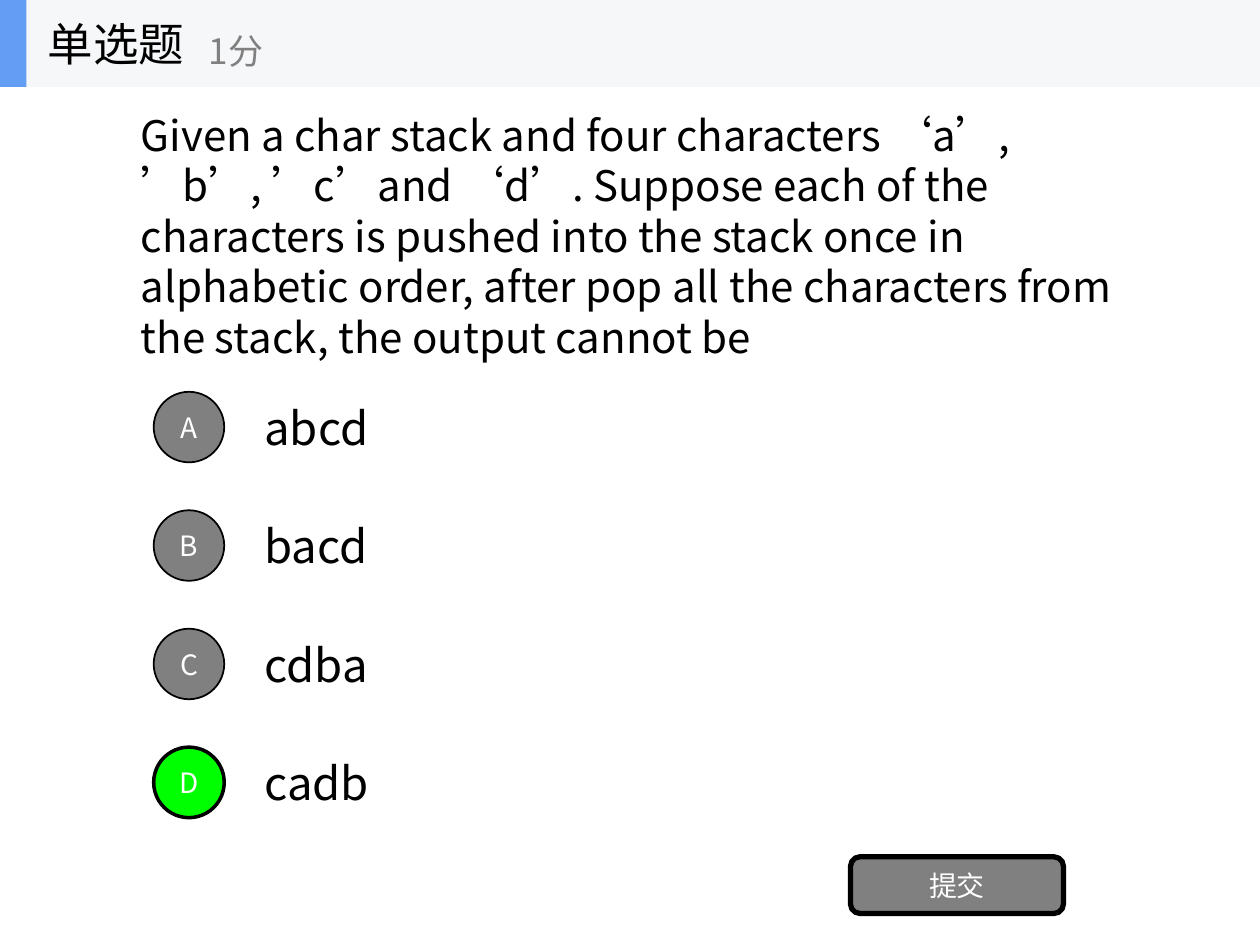
import lxml.etree
import pptx
import pptx.dml.color
import pptx.enum.lang
import pptx.enum.shapes
import pptx.enum.text
import pptx.oxml.ns
import pptx.util

Inches = pptx.util.Inches
SHAPES = pptx.enum.shapes.MSO_SHAPE
ALIGN = pptx.enum.text.PP_ALIGN
FONT = "Noto Sans CJK SC"
BLACK, GREY, WHITE, GREEN = "000000", "808080", "FFFFFF", "00FF00"

QUESTION = (
    "Given a char stack and four characters ‘a’, ’b’, ’c’and ‘d’. "
    "Suppose each of the characters is pushed into the stack once in "
    "alphabetic order, after pop all the characters from the stack, "
    "the output cannot be"
)
OPTIONS = {"A": "abcd", "B": "bacd", "C": "cdba", "D": "cadb"}
ANSWER = "D"
FIRST_OPTION_TOP = 3.04
OPTION_STEP = 0.94


def color(value):
    return pptx.dml.color.RGBColor.from_string(value)


def write(box, text, size, text_color, align=ALIGN.LEFT):
    frame = box.text_frame
    frame.word_wrap = True
    frame.vertical_anchor = pptx.enum.text.MSO_ANCHOR.MIDDLE
    para = frame.paragraphs[0]
    para.alignment = align
    span = para.add_run()
    span.text = text
    span.font.language_id = pptx.enum.lang.MSO_LANGUAGE_ID.SIMPLIFIED_CHINESE
    para.font.size = pptx.util.Pt(size)
    para.font.color.rgb = color(text_color)
    para.font.name = FONT
    # Chinese characters take their typeface from a:ea
    properties = para.font._element if hasattr(para.font, "_element") else para.font._rPr
    lxml.etree.SubElement(properties, pptx.oxml.ns.qn("a:ea"), typeface=FONT)


def add_text(shapes, place, text, size, text_color=BLACK):
    box = shapes.add_textbox(*map(Inches, place))
    write(box, text, size, text_color)


def add_block(shapes, kind, place, fill, line_width=0):
    block = shapes.add_shape(kind, *map(Inches, place))
    block.shadow.inherit = False
    block.fill.solid()
    block.fill.fore_color.rgb = color(fill)
    if line_width:
        block.line.color.rgb = color(BLACK)
        block.line.width = pptx.util.Pt(line_width)
    else:
        block.line.fill.background()
    return block


def add_button(shapes, kind, place, text, fill, line_width):
    button = add_block(shapes, kind, place, fill, line_width)
    write(button, text, 16, WHITE, ALIGN.CENTER)


def add_options(shapes):
    for index, (letter, text) in enumerate(OPTIONS.items()):
        top = FIRST_OPTION_TOP + index * OPTION_STEP
        add_text(shapes, (2, top, 7, 0.7), text, 26)
        fill, line_width = (GREEN, 2) if letter == ANSWER else (GREY, 1)
        add_button(shapes, SHAPES.OVAL, (1.22, top + 0.07, 0.56, 0.56),
                   letter, fill, line_width)


def add_header(page):
    shapes = page.shapes.add_group_shape().shapes
    add_block(shapes, SHAPES.RECTANGLE, (0, 0, 10, 0.69), "F6F7F8")
    add_block(shapes, SHAPES.RECTANGLE, (0, 0, 0.21, 0.69), "639EF4")
    add_text(shapes, (0.28, 0, 2.08, 0.69), "单选题", 26)
    add_text(shapes, (1.56, 0.12, 2.5, 0.56), "1分", 20, GREY)


def main():
    deck = pptx.Presentation()
    deck.slide_width, deck.slide_height = Inches(10), Inches(7.5)
    page = deck.slides.add_slide(deck.slide_layouts[6])
    add_text(page.shapes, (1.02, 0.7, 8, 2.34), QUESTION, 24)
    add_options(page.shapes)
    add_button(page.shapes, SHAPES.ROUNDED_RECTANGLE, (6.75, 6.8, 1.69, 0.45),
               "提交", GREY, 3)
    add_header(page)
    deck.save("out.pptx")


if __name__ == "__main__":
    main()
